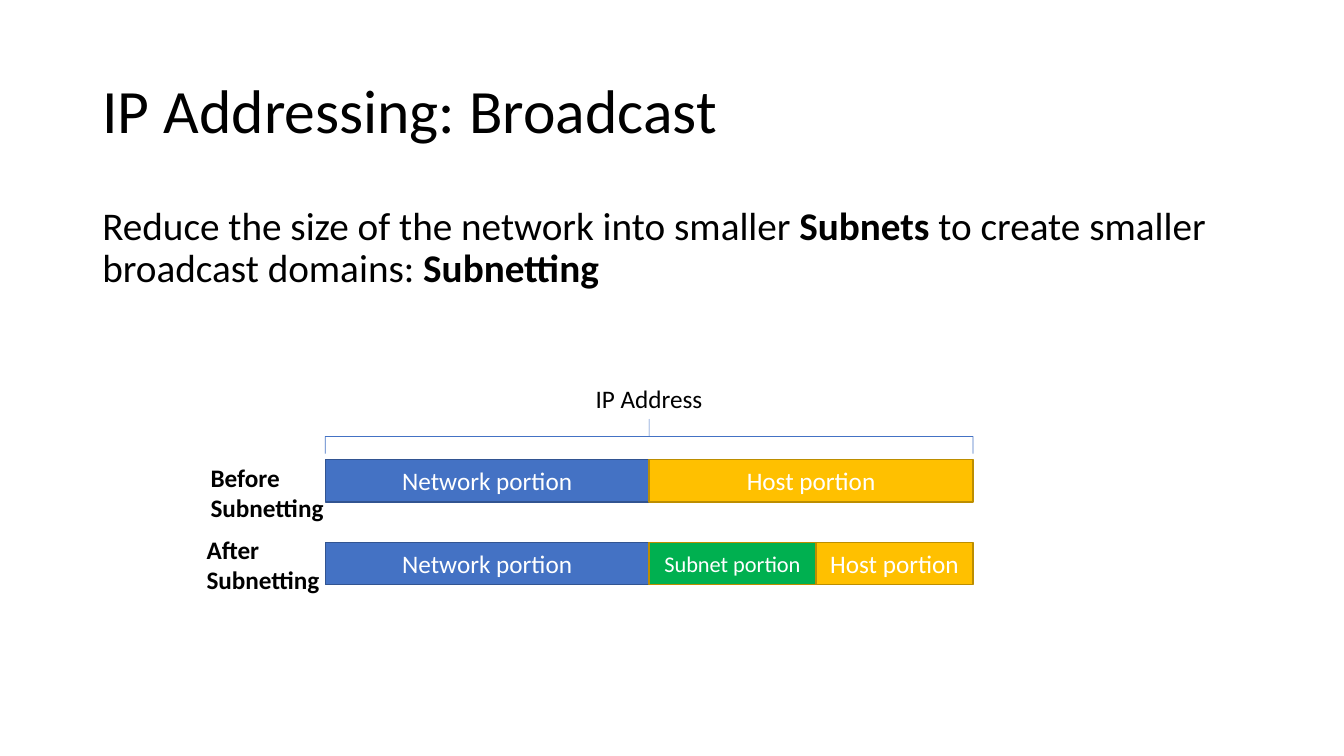
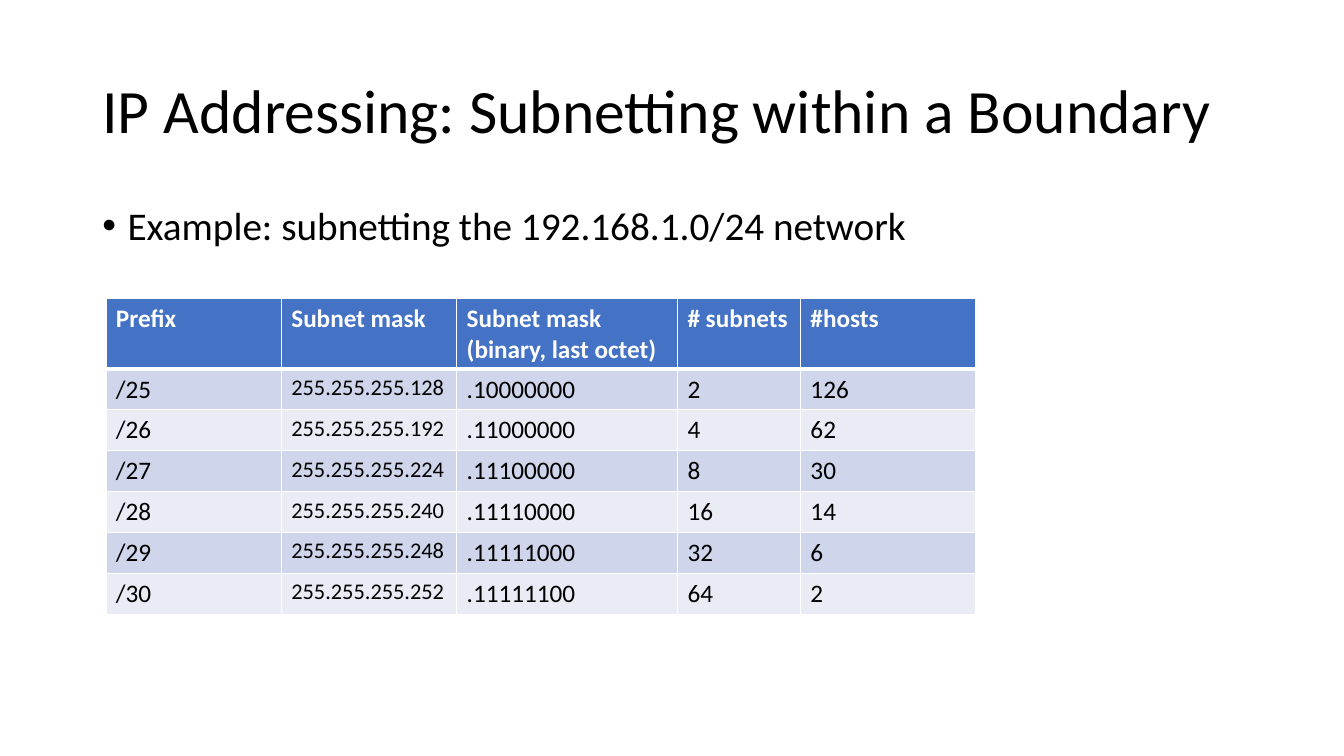
"""Build two slides on subnetting: smaller broadcast domains and subnet masks."""

from typing import NamedTuple

from lxml.etree import SubElement
from pptx import Presentation
from pptx.dml.color import RGBColor
from pptx.enum.shapes import MSO_SHAPE
from pptx.enum.text import MSO_ANCHOR, MSO_AUTO_SIZE, PP_ALIGN
from pptx.oxml.ns import qn
from pptx.presentation import Presentation as Deck
from pptx.slide import Slide
from pptx.table import _Cell
from pptx.text.text import TextFrame, _Paragraph
from pptx.util import Inches, Pt

WIDTH, HEIGHT = Inches(13.33), Inches(7.5)
FONT = "Calibri"
BLACK, WHITE = "000000", "FFFFFF"
BLUE, BLUE_EDGE = "4472C4", "325491"
GOLD, GOLD_EDGE = "FFC000", "BD8E00"
GREEN = "00B050"
BANDS = ("CFD5EA", "E9EBF5")


class Area(NamedTuple):
    """A place on the slide, in percent of its width and height."""

    left: float
    top: float
    width: float
    height: float

    def emu(self) -> tuple[int, int, int, int]:
        """Return left, top, width and height as lengths."""
        return (across(self.left), down(self.top), across(self.width), down(self.height))


class Portion(NamedTuple):
    """One coloured part of an address bar."""

    name: str
    width: float
    fill: str
    edge: str
    size: int = 18


class AddressBar(NamedTuple):
    """An address split into portions, with its caption."""

    caption: str
    caption_left: float
    caption_top: float
    top: float
    portions: tuple[Portion, ...]


class Phrase(NamedTuple):
    """A stretch of text in one weight."""

    text: str
    bold: bool = False


TITLE_AREA = Area(6.88, 5.33, 86.25, 19.33)
BODY_AREA = Area(6.88, 26.67, 86.25, 63.47)

BAR_LEFT, HALF, BAR_HEIGHT = 24.2, 24.1, 5.6
SUBNET = 12.4
NETWORK_PORTION = Portion("Network portion", HALF, BLUE, BLUE_EDGE)
ADDRESS_BARS = (
    AddressBar("Before\nSubnetting", 14.93, 60.53, 60.8,
               (NETWORK_PORTION, Portion("Host portion", HALF, GOLD, GOLD_EDGE))),
    AddressBar("After\nSubnetting", 14.63, 70, 71.73,
               (NETWORK_PORTION,
                Portion("Subnet portion", SUBNET, GREEN, GOLD_EDGE, 16),
                Portion("Host portion", HALF - SUBNET, GOLD, GOLD_EDGE))),
)

HEADINGS = ("Prefix", "Subnet mask", "Subnet mask (binary, last octet)", "# subnets", "#hosts")
COLUMN_WIDTHS = (13.05, 13.05, 16.43, 9.15, 13.05)
MASK_COLUMN = 1
PREFIXES = range(25, 31)
HEADING_HEIGHT, ROW_HEIGHT = 9.33, 5.41


def across(percent: float) -> int:
    """Turn a percentage of the slide's width into a length."""
    return round(WIDTH * percent / 100)


def down(percent: float) -> int:
    """Turn a percentage of the slide's height into a length."""
    return round(HEIGHT * percent / 100)


def color(value: str) -> RGBColor:
    """Turn a hex string into a colour."""
    return RGBColor.from_string(value)


def style(paragraph: _Paragraph, size: int, ink: str = BLACK, bold: bool = False) -> None:
    """Format every run of a paragraph."""
    for run in paragraph.runs:
        run.font.name = FONT
        run.font.size = Pt(size)
        run.font.bold = bold
        run.font.color.rgb = color(ink)


def add_titled_slide(deck: Deck, title: str) -> Slide:
    """Add a title-only slide with the shared title style."""
    slide = deck.slides.add_slide(deck.slide_layouts[5])
    heading = slide.shapes.title
    heading.left, heading.top, heading.width, heading.height = TITLE_AREA.emu()
    frame = heading.text_frame
    frame.text = title
    frame.word_wrap = True
    frame.auto_size = MSO_AUTO_SIZE.NONE
    frame.vertical_anchor = MSO_ANCHOR.MIDDLE
    paragraph = frame.paragraphs[0]
    paragraph.alignment = PP_ALIGN.LEFT
    paragraph.line_spacing = 0.9
    style(paragraph, 44)
    return slide


def add_body(slide: Slide, phrases: tuple[Phrase, ...], bulleted: bool = False) -> None:
    """Add the introductory paragraph below the title."""
    frame: TextFrame = slide.shapes.add_textbox(*BODY_AREA.emu()).text_frame
    frame.word_wrap = True
    paragraph = frame.paragraphs[0]
    paragraph.line_spacing = 0.9
    if bulleted:
        properties = paragraph._p.get_or_add_pPr()
        properties.set("marL", str(Inches(0.25)))
        properties.set("indent", str(-Inches(0.25)))
        SubElement(properties, qn("a:buFont"), typeface="Arial")
        SubElement(properties, qn("a:buChar"), char="•")
    for phrase in phrases:
        paragraph.add_run().text = phrase.text
    style(paragraph, 28)
    for run, phrase in zip(paragraph.runs, phrases):
        run.font.bold = phrase.bold


def add_caption(slide: Slide, text: str, area: Area, bold: bool = False) -> None:
    """Add a caption that fits its own text."""
    frame = slide.shapes.add_textbox(*area.emu()).text_frame
    frame.text = text
    frame.word_wrap = False
    frame.auto_size = MSO_AUTO_SIZE.SHAPE_TO_FIT_TEXT
    for paragraph in frame.paragraphs:
        style(paragraph, 18, bold=bold)


def add_portion(slide: Slide, portion: Portion, left: float, top: float) -> None:
    """Draw one portion of an address bar."""
    area = Area(left, top, portion.width, BAR_HEIGHT)
    block = slide.shapes.add_shape(MSO_SHAPE.RECTANGLE, *area.emu())
    block.shadow.inherit = False
    block.fill.solid()
    block.fill.fore_color.rgb = color(portion.fill)
    block.line.color.rgb = color(portion.edge)
    block.line.width = Pt(1)
    frame = block.text_frame
    frame.text = portion.name
    frame.word_wrap = True
    frame.vertical_anchor = MSO_ANCHOR.MIDDLE
    frame.paragraphs[0].alignment = PP_ALIGN.CENTER
    style(frame.paragraphs[0], portion.size, WHITE)


def add_address_bar(slide: Slide, bar: AddressBar) -> None:
    """Draw the portions of an address side by side, with the caption."""
    left = BAR_LEFT
    for portion in bar.portions:
        add_portion(slide, portion, left, bar.top)
        left += portion.width
    add_caption(slide, bar.caption, Area(bar.caption_left, bar.caption_top, 10.05, 9.47), True)


def add_brace(slide: Slide, area: Area) -> None:
    """Draw a square brace that opens downwards over an area."""
    left, top, span, depth = area.emu()
    shift = (span - depth) // 2
    brace = slide.shapes.add_shape(MSO_SHAPE.LEFT_BRACE, left + shift, top - shift, depth, span)
    brace.rotation = 90
    brace.adjustments[0] = 0
    brace.adjustments[1] = 0.5
    brace.shadow.inherit = False
    brace.fill.background()
    brace.line.color.rgb = color(BLUE)
    brace.line.width = Pt(0.5)


def subnet_row(prefix: int) -> tuple[str, ...]:
    """Work out the table row of a prefix within the last octet."""
    addresses = 2 ** (32 - prefix)
    octet = 256 - addresses
    return (f"/{prefix}", f"255.255.255.{octet}", f".{octet:08b}",
            str(256 // addresses), str(addresses - 2))


def add_borders(cell: _Cell, row: int) -> None:
    """Give a cell white borders, thicker below the headings."""
    widths = {"L": 1, "R": 1, "T": 3 if row == 1 else 1, "B": 3 if row == 0 else 1}
    properties = cell._tc.get_or_add_tcPr()
    for side, width in widths.items():
        border = SubElement(properties, qn(f"a:ln{side}"), w=str(Pt(width)))
        SubElement(SubElement(border, qn("a:solidFill")), qn("a:srgbClr"), val=WHITE)


def fill_cell(cell: _Cell, text: str, row: int, column: int) -> None:
    """Write and format one cell of the subnet table."""
    is_heading = row == 0
    add_borders(cell, row)
    cell.fill.solid()
    cell.fill.fore_color.rgb = color(BLUE if is_heading else BANDS[(row - 1) % 2])
    cell.text_frame.text = text
    size = 16 if column == MASK_COLUMN and not is_heading else 18
    style(cell.text_frame.paragraphs[0], size, WHITE if is_heading else BLACK, is_heading)


def add_subnet_table(slide: Slide) -> None:
    """Add the table of masks, subnets and hosts for each prefix."""
    rows = [HEADINGS, *map(subnet_row, PREFIXES)]
    heights = [HEADING_HEIGHT] + [ROW_HEIGHT] * len(PREFIXES)
    area = Area(7.88, 39.47, sum(COLUMN_WIDTHS), sum(heights))
    table = slide.shapes.add_table(len(rows), len(HEADINGS), *area.emu()).table
    for column, width in zip(table.columns, COLUMN_WIDTHS):
        column.width = across(width)
    for row, height in zip(table.rows, heights):
        row.height = down(height)
    for row, texts in enumerate(rows):
        for column, text in enumerate(texts):
            fill_cell(table.cell(row, column), text, row, column)


def add_broadcast_slide(deck: Deck) -> None:
    """Add the slide that compares an address before and after subnetting."""
    slide = add_titled_slide(deck, "IP Addressing: Broadcast")
    add_body(slide, (
        Phrase("Reduce the size of the network into smaller "),
        Phrase("Subnets", True),
        Phrase(" to create smaller broadcast domains: "),
        Phrase("Subnetting", True),
    ))
    for bar in ADDRESS_BARS:
        add_address_bar(slide, bar)
    add_brace(slide, Area(BAR_LEFT, 55.47, 2 * HALF, 4.53))
    add_caption(slide, "IP Address", Area(43.58, 50, 9.53, 5.33))


def add_boundary_slide(deck: Deck) -> None:
    """Add the slide with the subnetting example."""
    slide = add_titled_slide(deck, "IP Addressing: Subnetting within a Boundary")
    add_body(slide, (Phrase("Example: subnetting the 192.168.1.0/24 network"),), bulleted=True)
    add_subnet_table(slide)


def main() -> None:
    """Build and save the presentation."""
    deck = Presentation()
    deck.slide_width, deck.slide_height = WIDTH, HEIGHT
    add_broadcast_slide(deck)
    add_boundary_slide(deck)
    deck.save("out.pptx")


if __name__ == "__main__":
    main()
